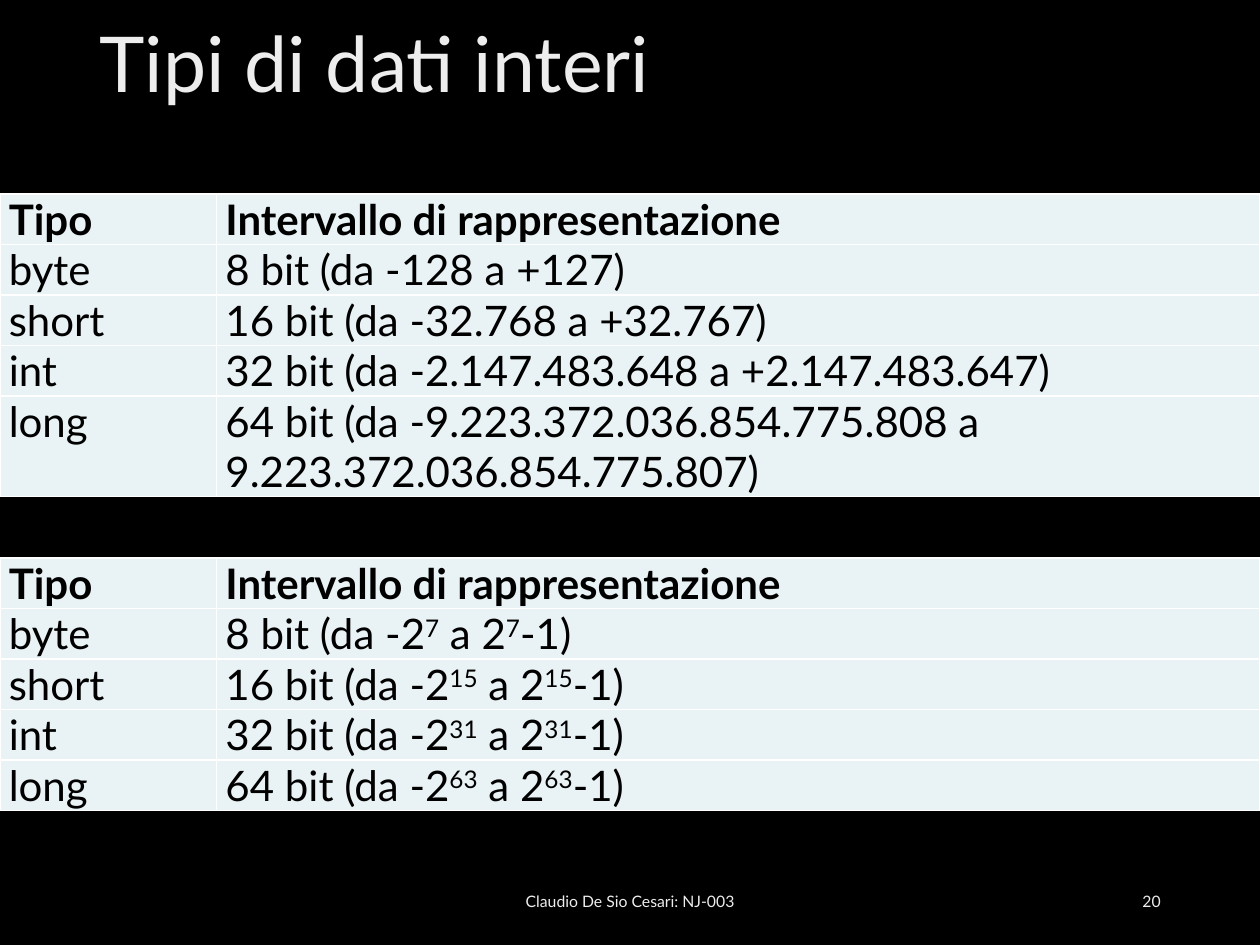
from dataclasses import dataclass

from lxml.etree import SubElement
from pptx import Presentation
from pptx.dml.color import RGBColor
from pptx.enum.text import MSO_ANCHOR as Anchor, PP_ALIGN as Align
from pptx.oxml import parse_xml
from pptx.oxml.ns import nsdecls, qn
from pptx.util import Inches, Pt


@dataclass(frozen=True)
class Theme:
    font: str = "Lato"
    title_size: int = 44
    table_size: int = 24
    footer_size: int = 9
    background: str = "000000"
    ink: str = "000000"
    cell: str = "E9F2F4"
    border: str = "FFFFFF"
    title_shade: tuple = ("BFBFBF", 80)
    footer_shade: tuple = ("9E9E9E", 90)


theme = Theme()


def add_run(paragraph, text, size):
    run = paragraph.add_run()
    run.text = text
    run.font.name = theme.font
    run.font.size = Pt(size)
    return run


def shade(run, start, angle):
    stops = "".join(
        f'<a:gs pos="{share * 1000}"><a:srgbClr val="{color}"/></a:gs>'
        for share, color in ((0, start), (28, "EDEDED"), (100, "FFFFFF"))
    )
    run.font._element.insert(0, parse_xml(
        f'<a:gradFill {nsdecls("a")}><a:gsLst>{stops}</a:gsLst>'
        f'<a:lin ang="{angle * 60000}" scaled="0"/></a:gradFill>'
    ))


deck = Presentation()
deck.slide_width, deck.slide_height = Inches(10), Inches(7.5)
slide = deck.slides.add_slide(deck.slide_layouts[5])
slide.background.fill.solid()
slide.background.fill.fore_color.rgb = RGBColor.from_string(theme.background)

title = slide.shapes.title
title.left, title.top, title.width, title.height = (
    Inches(v) for v in (0.69, 0, 8.62, 1.07))
title.text_frame.vertical_anchor = Anchor.MIDDLE
heading = title.text_frame.paragraphs[0]
heading.alignment = Align.LEFT
heading.line_spacing = 0.9
shade(add_run(heading, "Tipi di dati interi", theme.title_size), *theme.title_shade)

for text, left, width, alignment in (
    ("Claudio De Sio Cesari: NJ-003", 3.31, 3.38, Align.CENTER),
    ("20", 7.06, 2.25, Align.RIGHT),
):
    footer = slide.shapes.add_textbox(
        Inches(left), Inches(6.95), Inches(width), Inches(0.4)).text_frame
    footer.word_wrap = True
    footer.vertical_anchor = Anchor.MIDDLE
    footer.paragraphs[0].alignment = alignment
    shade(add_run(footer.paragraphs[0], text, theme.footer_size), *theme.footer_shade)

header = ("Tipo", "Intervallo di rappresentazione")
integer_types = (
    ("byte", 8, "-128 a +127"),
    ("short", 16, "-32.768 a +32.767"),
    ("int", 32, "-2.147.483.648 a +2.147.483.647"),
    ("long", 64, "-9.223.372.036.854.775.808 a 9.223.372.036.854.775.807"),
)
decimal_rows = [header] + [
    (name, f"{bits} bit (da {limits})") for name, bits, limits in integer_types]
power_rows = [header] + [
    (name, f"{bits} bit (da -2^{bits - 1}^ a 2^{bits - 1}^-1)")
    for name, bits, _ in integer_types]

for top, rows in ((1.54, decimal_rows), (4.43, power_rows)):
    ranges = slide.shapes.add_table(
        len(rows), len(header), 0, Inches(top),
        deck.slide_width, Inches(0.38 * len(rows))).table
    ranges.columns[0].width = Inches(1.72)
    ranges.columns[1].width = Inches(8.28)
    for row, entries in enumerate(rows):
        for column, entry in enumerate(entries):
            cell = ranges.cell(row, column)
            cell.margin_left = cell.margin_right = Inches(0.07)
            cell.margin_top = cell.margin_bottom = 0
            properties = cell._tc.get_or_add_tcPr()
            for side in ("a:lnL", "a:lnR", "a:lnT", "a:lnB"):
                line = SubElement(properties, qn(side), w=str(Pt(1)))
                paint = SubElement(line, qn("a:solidFill"))
                SubElement(paint, qn("a:srgbClr"), val=theme.border)
            cell.fill.solid()
            cell.fill.fore_color.rgb = RGBColor.from_string(theme.cell)
            for part, text in enumerate(entry.split("^")):
                run = add_run(cell.text_frame.paragraphs[0], text, theme.table_size)
                run.font.bold = row == 0
                run.font.color.rgb = RGBColor.from_string(theme.ink)
                if part % 2:
                    run.font._element.set("baseline", "30000")

deck.save("out.pptx")
